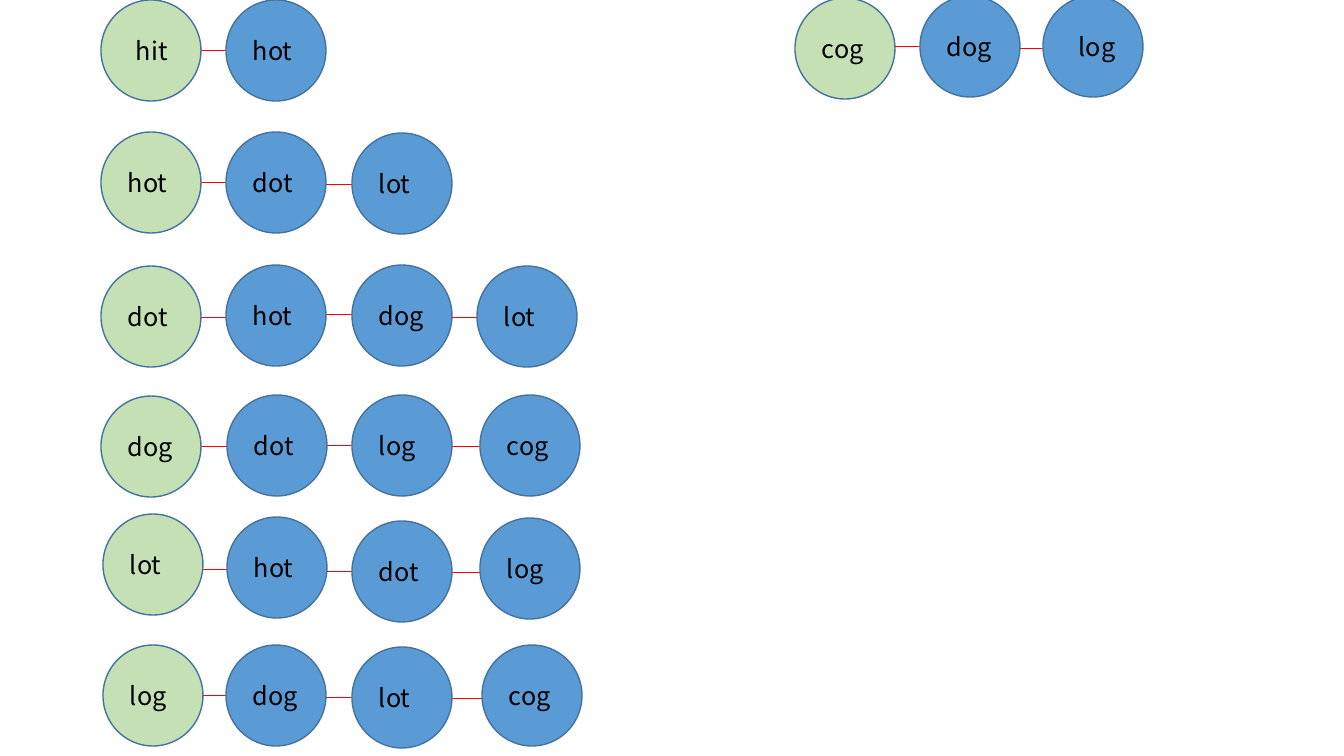
from dataclasses import dataclass
from itertools import pairwise

from pptx import Presentation
from pptx.dml.color import RGBColor
from pptx.enum.shapes import MSO_CONNECTOR, MSO_SHAPE
from pptx.enum.text import MSO_AUTO_SIZE
from pptx.oxml.ns import qn
from pptx.util import Emu, Pt
from lxml.etree import SubElement


@dataclass(frozen=True)
class Theme:
    start: str = "C5E0B4"
    neighbor: str = "5B9BD5"
    outline: str = "43739E"
    link: str = "FF0000"
    text: str = "000000"
    font: str = "Noto Sans CJK KR"
    word_size: int = 18
    outline_width: float = 1
    link_width: float = 0.5


PAGE_WIDTH, PAGE_HEIGHT = 1344, 756
SCALE = 12192000 / PAGE_WIDTH
NODE_WIDTH, NODE_HEIGHT = 100, 101
LINK_LENGTH = 40
LABEL_LEFT, LABEL_TOP = 17, 30
LABEL_WIDTH, LABEL_HEIGHT = 65, 40


def px(value):
    return Emu(round(value * SCALE))


class Page:
    def __init__(self, deck, theme):
        self.theme = theme
        self.shapes = deck.slides.add_slide(deck.slide_layouts[6]).shapes

    def link(self, left, right, y):
        line = self.shapes.add_connector(
            MSO_CONNECTOR.STRAIGHT, px(left), px(y), px(right), px(y))
        line.line.color.rgb = RGBColor.from_string(self.theme.link)
        line.line.width = Pt(self.theme.link_width)
        SubElement(line._element.spPr, qn("a:effectLst"))

    def circle(self, left, top, color):
        circle = self.shapes.add_shape(
            MSO_SHAPE.OVAL, px(left), px(top), px(NODE_WIDTH), px(NODE_HEIGHT))
        circle.shadow.inherit = False
        circle.fill.solid()
        circle.fill.fore_color.rgb = RGBColor.from_string(color)
        circle.line.color.rgb = RGBColor.from_string(self.theme.outline)
        circle.line.width = Pt(self.theme.outline_width)

    def label(self, word, left, top):
        box = self.shapes.add_textbox(
            px(left), px(top), px(LABEL_WIDTH), px(LABEL_HEIGHT))
        frame = box.text_frame
        frame.word_wrap = True
        frame.auto_size = MSO_AUTO_SIZE.SHAPE_TO_FIT_TEXT
        frame.text = word
        span = frame.paragraphs[0].runs[0]
        span.font.name = self.theme.font
        span.font.size = Pt(self.theme.word_size)
        span.font.color.rgb = RGBColor.from_string(self.theme.text)
        fonts = span.font._element
        SubElement(fonts, qn("a:ea")).set("typeface", self.theme.font)

    def chain(self, nodes, link_heights):
        # Links lie under the circles, centred in each gap
        for (before, after), y in zip(pairwise(nodes), link_heights):
            middle = (before[1] + NODE_WIDTH + after[1]) // 2
            self.link(middle - LINK_LENGTH // 2, middle + LINK_LENGTH // 2, y)
        # The first word is the start, the others are its neighbors
        for index, (word, left, top, *shift) in enumerate(nodes):
            self.circle(left, top, self.theme.neighbor if index else self.theme.start)
            self.label(word, left + (shift[0] if shift else LABEL_LEFT), top + LABEL_TOP)


# Each chain: (word, left, top, optional label shift), then the link heights
CHAINS = [
    ([("hit", 101, 0, 25), ("hot", 226, 0)], [50]),
    ([("hot", 101, 132), ("dot", 226, 132), ("lot", 352, 133)], [182, 184]),
    ([("dot", 101, 266), ("hot", 226, 265), ("dog", 352, 265), ("lot", 477, 266)],
     [317, 314, 317]),
    ([("dog", 101, 396), ("dot", 227, 395), ("log", 352, 395), ("cog", 480, 395)],
     [446, 445, 446]),
    ([("lot", 103, 514), ("hot", 227, 517), ("dot", 352, 521), ("log", 480, 518)],
     [569, 571, 572]),
    ([("log", 103, 645), ("dog", 226, 645), ("lot", 352, 647), ("cog", 482, 645)],
     [695, 697, 698]),
    ([("cog", 795, -2), ("dog", 920, -4), ("log", 1043, -4, 26)], [46, 48]),
]

deck = Presentation()
deck.slide_width, deck.slide_height = px(PAGE_WIDTH), px(PAGE_HEIGHT)
page = Page(deck, Theme())
for nodes, link_heights in CHAINS:
    page.chain(nodes, link_heights)
deck.save("out.pptx")
